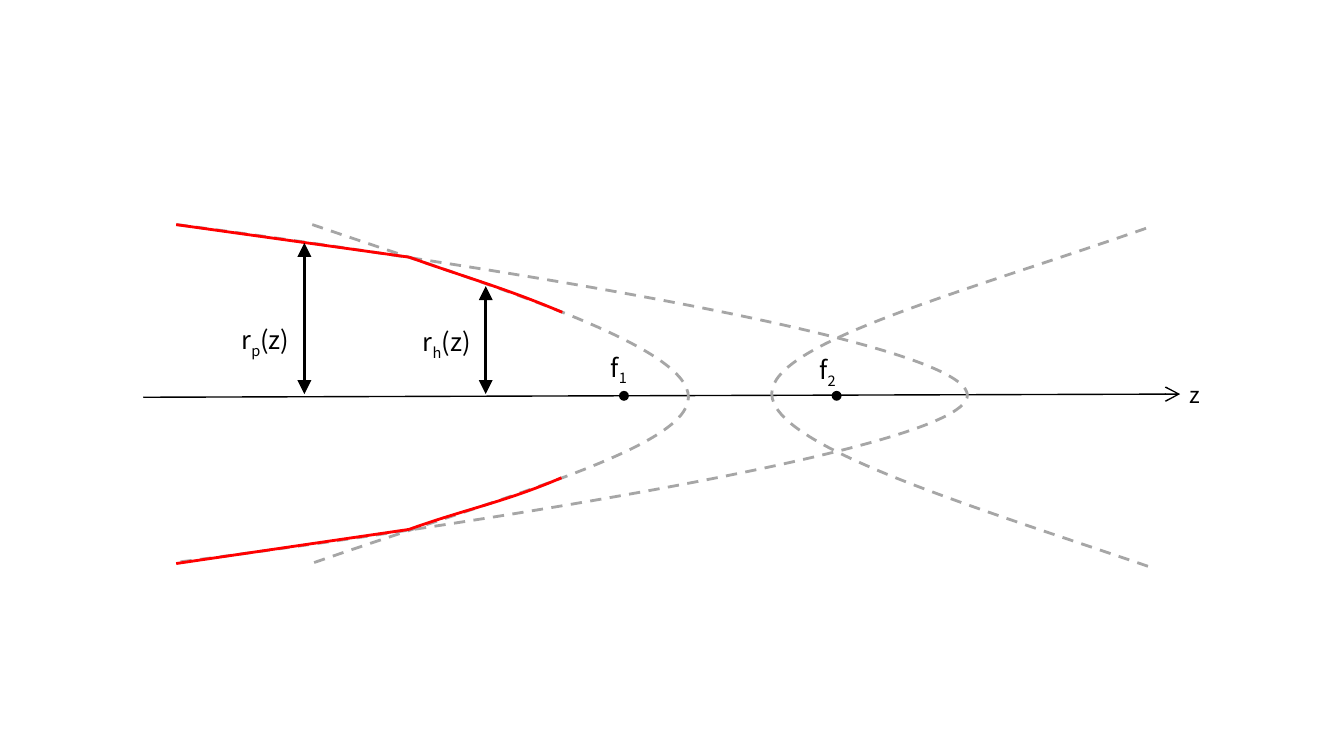
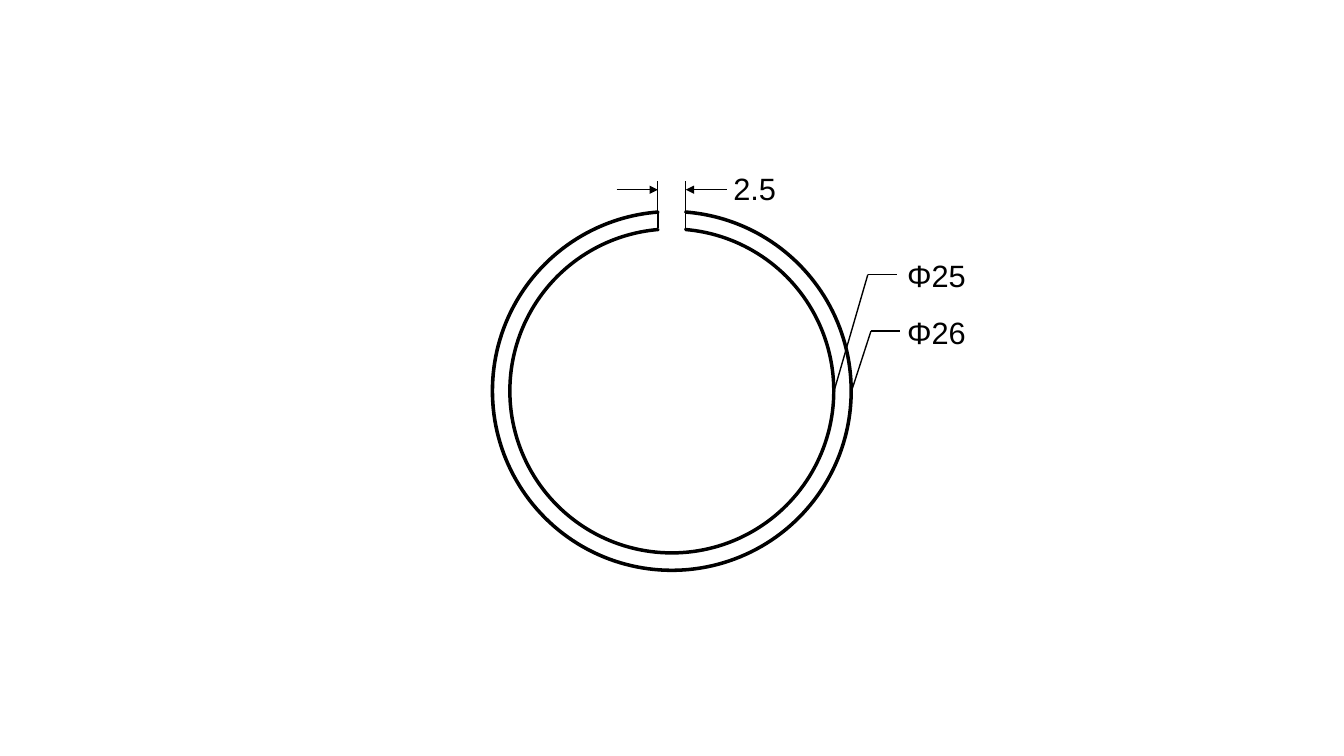
import math

import pptx
import pptx.util
import pptx.dml.color
import pptx.enum.dml
import pptx.enum.shapes
import pptx.enum.text
import pptx.oxml.ns
import lxml.etree

Cm, Pt = pptx.util.Cm, pptx.util.Pt
qn = pptx.oxml.ns.qn
SHAPE = pptx.enum.shapes.MSO_SHAPE
ALIGN = pptx.enum.text.PP_ALIGN
ANCHOR = pptx.enum.text.MSO_ANCHOR
BLACK, GREY, RED = "000000", "A6A6A6", "FF0000"

# All places and lengths are in centimetres.
# A curve is a start point followed by three points for each Bezier piece.
AXIS = ((3.61, 10.01), (29.74, 9.93))
PARABOLA = [(4.45, 5.66),
            (6.83, 5.96), (24.36, 8.33), (24.38, 9.96),
            (24.41, 11.51), (7.34, 13.82), (4.45, 14.17)]
BRANCH = [(7.87, 5.66),
          (12.34, 7.19), (17.35, 8.69), (17.35, 10.01),
          (17.35, 11.28), (12.67, 12.52), (7.85, 14.2)]
TURN = (36.8, 19.93)  # twice the centre between both branches
FOCI = [15.6, 20.96]
DOT = 0.25
CONES = [((4.44, 5.66), (10.31, 6.48)), ((4.44, 14.2), (10.31, 13.34))]
MIRRORS = [[(10.31, 6.48), (11.73, 6.99), (12.73, 7.26), (14.17, 7.87)],
           [(10.31, 13.34), (11.73, 12.83), (12.73, 12.65), (14.15, 12.04)]]
RADII = [(7.67, 6.12), (12.24, 7.21)]
FOOT = 9.93
# Text between underscores is subscript.
LABELS = [("r_p_(z)", 5.59, 8.05, 2.2, ALIGN.CENTER),
          ("r_h_(z)", 10.16, 8.1, 2.2, ALIGN.CENTER),
          ("f_1", 15.14, 8.74, 0.91, ALIGN.LEFT),
          ("f_2", 20.4, 8.81, 0.91, ALIGN.LEFT)]

CENTRE = (16.93, 9.85)
OUTER, INNER = 4.53, 4.09
GAP = 0.35  # half the width of the opening
RINGS = [("Φ26", OUTER, (21.95, 8.34), 7.77),
         ("Φ25", INNER, (21.87, 6.92), 6.35)]


def color(code):
    return pptx.dml.color.RGBColor.from_string(code)


def stroke(item, code, width, dash=False, head=None, tail=None, size="med"):
    line = item.line
    line.color.rgb = color(code)
    line.width = Pt(width)
    if dash:
        line.dash_style = pptx.enum.dml.MSO_LINE.DASH
    ln = item._element.spPr.find(qn("a:ln"))
    for tag, kind in (("a:headEnd", head), ("a:tailEnd", tail)):
        if kind:
            lxml.etree.SubElement(ln, qn(tag), type=kind, w=size, len=size)


def link(slide, start, end, code=BLACK, width=1, **ends):
    """Draw a straight line."""
    kind = pptx.enum.shapes.MSO_CONNECTOR.STRAIGHT
    item = slide.shapes.add_connector(kind, *map(Cm, start + end))
    stroke(item, code, width, **ends)
    lxml.etree.SubElement(item._element.spPr, qn("a:effectLst"))


def curve(slide, points, code, width=2, dash=False):
    """Draw an open outline and bend each three segments into one Bezier."""
    first, *rest = [(Cm(x), Cm(y)) for x, y in points]
    pen = slide.shapes.build_freeform(*first)
    pen.add_line_segments(rest, close=False)
    item = pen.convert_to_shape()
    lines = list(item._element.iter(qn("a:lnTo")))
    for i in range(0, len(lines), 3):
        bend = lxml.etree.SubElement(lines[i].getparent(),
                                     qn("a:cubicBezTo"))
        for line in lines[i:i + 3]:
            line.getparent().remove(line)
            bend.append(line[0])
    item.shadow.inherit = False
    item.fill.background()
    stroke(item, code, width, dash)


def write(slide, text, left, top, width, height, size=18,
          font="Noto Sans CJK JP", align=ALIGN.CENTER,
          anchor=ANCHOR.TOP, inset=(0.25, 0.13)):
    box = slide.shapes.add_textbox(*map(Cm, (left, top, width, height)))
    frame = box.text_frame
    frame.word_wrap = False
    frame.auto_size = pptx.enum.text.MSO_AUTO_SIZE.SHAPE_TO_FIT_TEXT
    frame.vertical_anchor = anchor
    frame.margin_left = frame.margin_right = Cm(inset[0])
    frame.margin_top = frame.margin_bottom = Cm(inset[1])
    para = frame.paragraphs[0]
    para.alignment = align
    for i, part in enumerate(text.split("_")):
        run = para.add_run()
        run.text = part
        run.font.size = Pt(size)
        run.font.name = font
        run.font.color.rgb = color(BLACK)
        if i % 2:
            run._r.get_or_add_rPr().set("baseline", "-25000")


def dot(slide, left, top):
    item = slide.shapes.add_shape(SHAPE.OVAL, *map(Cm, (left, top, DOT, DOT)))
    item.shadow.inherit = False
    item.fill.solid()
    item.fill.fore_color.rgb = color(BLACK)
    item.line.fill.background()


def ring(slide, radius):
    """Draw a circle that is open at the top."""
    x, y = CENTRE
    place = (x - radius, y - radius, 2 * radius, 2 * radius)
    item = slide.shapes.add_shape(SHAPE.BLOCK_ARC, *map(Cm, place))
    item.rotation = 180
    half = math.degrees(math.asin(GAP / radius))
    # One unit of adjustment is 100000/60000 of a degree.
    for i, value in enumerate(((90 + half) * 0.6, (90 - half) * 0.6, 0.002)):
        item.adjustments[i] = value
    item.shadow.inherit = False
    item.fill.background()
    stroke(item, BLACK, 2)


def optics(slide):
    link(slide, *AXIS, tail="arrow", size="lg")
    write(slide, "z", 29.77, 9.6, 0.66, 0.69, size=16,
          anchor=ANCHOR.MIDDLE, inset=(0.2, 0))
    turned = [(TURN[0] - x, TURN[1] - y) for x, y in BRANCH]
    for points in (PARABOLA, BRANCH, turned):
        curve(slide, points, GREY, dash=True)
    for left in FOCI:
        dot(slide, left, 9.85)
    for start, end in CONES:
        link(slide, start, end, RED, 2)
    for points in MIRRORS:
        curve(slide, points, RED)
    for x, top in RADII:
        link(slide, (x, top), (x, FOOT), width=1.75,
             head="triangle", tail="triangle", size="lg")
    for text, left, top, width, align in LABELS:
        write(slide, text, left, top, width, 1.12, align=align)


def gauge(slide):
    x, y = CENTRE
    style = {"size": 22, "font": "Arial"}
    for text, radius, bend, top in RINGS:
        ring(slide, radius)
        link(slide, (x + radius, y), bend)
        link(slide, bend, (bend[0] + 0.74, bend[1]))
        write(slide, text, 22.61, top, 1.98, 1.17, **style)
    for side in (-1, 1):
        edge = x + side * GAP
        link(slide, (edge, 4.57), (edge, 5.31), width=0.75)
        link(slide, (edge, 5.31), (edge, 5.74))
        link(slide, (edge + side * 1.04, 4.78), (edge, 4.78), width=0.75,
             tail="triangle")
    write(slide, "2.5", 18.02, 4.14, 2, 1.17, **style)


def main():
    deck = pptx.Presentation()
    deck.slide_width, deck.slide_height = Cm(33.87), Cm(19.05)
    blank = deck.slide_layouts[6]
    for draw in (optics, gauge):
        draw(deck.slides.add_slide(blank))
    deck.save("out.pptx")


if __name__ == "__main__":
    main()
